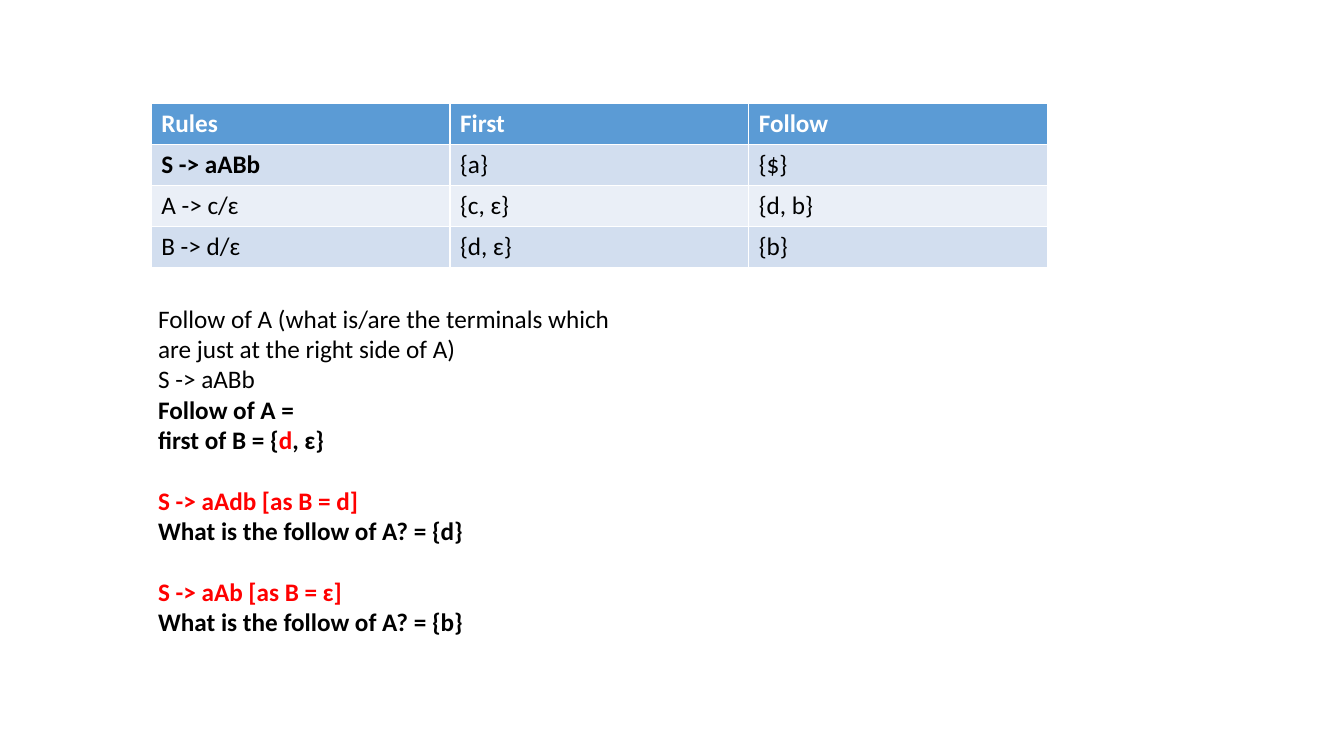
import pptx
import pptx.dml.color
import pptx.enum.text
import pptx.util

Inches = pptx.util.Inches
RGBColor = pptx.dml.color.RGBColor

WHITE = RGBColor(0xFF, 0xFF, 0xFF)
BLACK = RGBColor(0x00, 0x00, 0x00)
RED = RGBColor(0xFF, 0x00, 0x00)
HEADER_BLUE = RGBColor(0x5B, 0x9B, 0xD5)
BAND_DARK = RGBColor(0xD2, 0xDE, 0xEF)
BAND_LIGHT = RGBColor(0xEA, 0xEF, 0xF7)

FONT = "Calibri"
TEXT_SIZE = 18
BLANK_LINE = 22

GRAMMAR = [
    ["Rules", "First", "Follow"],
    ["S -> aABb", "{a}", "{$}"],
    ["A -> c/ɛ", "{c, ɛ}", "{d, b}"],
    ["B -> d/ɛ", "{d, ɛ}", "{b}"],
]

# Each line: its runs as (text, bold, color), and the space before it in points
EXPLANATION = [
    ([("Follow of A (what is/are the terminals which are just at the right side of A)",
       False, BLACK)], 0),
    ([("S -> aABb", False, BLACK)], 0),
    ([("Follow of A =", True, BLACK)], 0),
    ([("first of B = {", True, BLACK), ("d", True, RED), (", ɛ}", True, BLACK)], 0),
    ([("S -> aAdb [as B = d]", True, RED)], BLANK_LINE),
    ([("What is the follow of A? = {d}", True, BLACK)], 0),
    ([("S -> aAb [as B = ɛ]", True, RED)], BLANK_LINE),
    ([("What is the follow of A? = {b}", True, BLACK)], 0),
]


def add_text(paragraph, text, bold=False, color=BLACK, size=TEXT_SIZE):
    run = paragraph.add_run()
    run.text = text
    run.font.name = FONT
    run.font.size = pptx.util.Pt(size)
    run.font.bold = bold
    run.font.color.rgb = color


def add_grammar_table(slide, left, top, width, height):
    row_count, column_count = len(GRAMMAR), len(GRAMMAR[0])
    table = slide.shapes.add_table(
        row_count, column_count,
        Inches(left), Inches(top), Inches(width), Inches(height)).table
    for row_index, row in enumerate(GRAMMAR):
        is_header = row_index == 0
        band = BAND_DARK if row_index % 2 else BAND_LIGHT
        for column_index, text in enumerate(row):
            cell = table.cell(row_index, column_index)
            cell.fill.solid()
            cell.fill.fore_color.rgb = HEADER_BLUE if is_header else band
            # The header and the start rule are bold
            is_start_rule = (row_index, column_index) == (1, 0)
            add_text(cell.text_frame.paragraphs[0], text,
                     bold=is_header or is_start_rule,
                     color=WHITE if is_header else BLACK)


def add_explanation(slide, left, top, width, height):
    text_box = slide.shapes.add_textbox(
        Inches(left), Inches(top), Inches(width), Inches(height))
    text_frame = text_box.text_frame
    text_frame.word_wrap = True
    text_frame.auto_size = pptx.enum.text.MSO_AUTO_SIZE.SHAPE_TO_FIT_TEXT
    for index, (runs, space_before) in enumerate(EXPLANATION):
        paragraph = text_frame.add_paragraph() if index else text_frame.paragraphs[0]
        paragraph.space_before = pptx.util.Pt(space_before)
        for text, bold, color in runs:
            add_text(paragraph, text, bold=bold, color=color)


def main():
    presentation = pptx.Presentation()
    presentation.slide_width = Inches(13.33)
    presentation.slide_height = Inches(7.5)
    slide = presentation.slides.add_slide(presentation.slide_layouts[6])

    # Grammar with its first and follow sets
    add_grammar_table(slide, 1.5, 1.03, 8.89, 1.62)
    # How the follow set of A is found
    add_explanation(slide, 1.47, 2.96, 4.94, 3.74)

    presentation.save("out.pptx")


if __name__ == "__main__":
    main()
